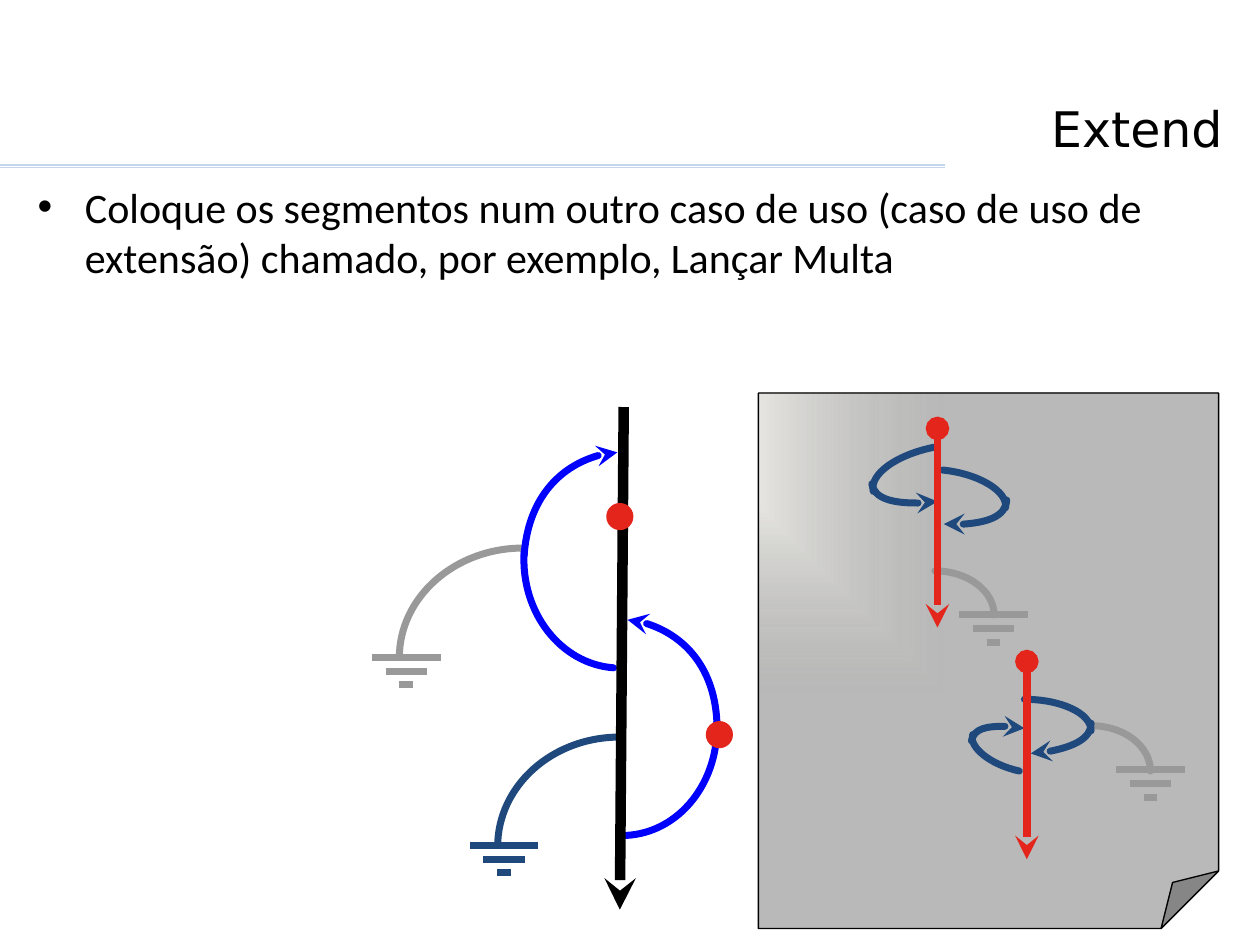
from dataclasses import dataclass

from lxml import etree
from pptx import Presentation
from pptx.dml.color import RGBColor
from pptx.enum.shapes import MSO_CONNECTOR, MSO_SHAPE
from pptx.enum.text import MSO_ANCHOR, PP_ALIGN
from pptx.oxml import parse_xml
from pptx.oxml.ns import nsdecls, qn
from pptx.util import Pt

STRAIGHT = MSO_CONNECTOR.STRAIGHT
OVAL, PAGE = MSO_SHAPE.OVAL, MSO_SHAPE.FOLDED_CORNER
RIGHT, BOTTOM = PP_ALIGN.RIGHT, MSO_ANCHOR.BOTTOM
BLACK, RULE, BLUE, NAVY, GREY, RED = (
    "000000", "C4D6EB", "0000FF", "1F497D", "999999", "E4251C")


@dataclass
class Arc:
    points: tuple  # start, two control points, end
    color: str
    tail: str = ""
    cap: str = "rnd"


@dataclass
class Line:
    start: tuple
    end: tuple
    color: str
    width: float
    head: str = ""
    tail: str = ""


@dataclass
class Ground:
    x: float
    y: float
    color: str


def rgb(value: str) -> RGBColor:
    return RGBColor.from_string(value)


def style_line(sp, color: str, width: float, head="", tail="", cap="") -> None:
    sp.line.color.rgb = rgb(color)
    sp.line.width = Pt(width)
    ln = sp.line._get_or_add_ln()
    if cap:
        ln.set("cap", cap)
    for tag, kind in (("a:headEnd", head), ("a:tailEnd", tail)):
        if kind:
            etree.SubElement(ln, qn(tag), type=kind)


def draw_line(s, line: Line) -> None:
    sp = s.shapes.add_connector(
        STRAIGHT, *(Pt(v) for v in line.start + line.end))
    style_line(sp, line.color, line.width, line.head, line.tail)
    etree.SubElement(sp._element.spPr, qn("a:effectLst"))


def draw_arc(s, arc: Arc) -> None:
    points = [(Pt(x), Pt(y)) for x, y in arc.points]
    builder = s.shapes.build_freeform(*points[0])
    builder.add_line_segments(points[1:], close=False)
    sp = builder.convert_to_shape()
    # Turn the three straight segments into one cubic curve
    path = sp._element.find(".//" + qn("a:path"))
    segments = path.findall(qn("a:lnTo"))
    curve = etree.SubElement(path, qn("a:cubicBezTo"))
    for segment in segments:
        curve.append(segment[0])
        path.remove(segment)
    sp.fill.background()
    sp.shadow.inherit = False
    style_line(sp, arc.color, 4, tail=arc.tail, cap=arc.cap)


def draw_ground(s, ground: Ground) -> None:
    for i, width in enumerate((39.2, 23.6, 7.8)):
        y = ground.y + 7.8 * i
        draw_line(s, Line((ground.x - width / 2, y),
                          (ground.x + width / 2, y), ground.color, 4))


def draw_dot(s, x: float, y: float, size: float = 11.5) -> None:
    sp = s.shapes.add_shape(
        OVAL, Pt(x - size / 2), Pt(y - size / 2), Pt(size), Pt(size))
    sp.fill.solid()
    sp.fill.fore_color.rgb = rgb(RED)
    sp.shadow.inherit = False
    style_line(sp, RED, 4)


def draw_page(s) -> None:
    sp = s.shapes.add_shape(PAGE, Pt(433.4), Pt(224.6), Pt(263), Pt(306))
    sp.shadow.inherit = False
    sp.fill.background()
    spPr = sp._element.spPr
    # Fold size
    guides = spPr.find(".//" + qn("a:avLst"))
    for guide in list(guides):
        guides.remove(guide)
    etree.SubElement(guides, qn("a:gd"), name="adj", fmla="val 12500")
    # Translucent gradient from the top left corner
    spPr.replace(spPr.find(qn("a:noFill")), parse_xml(
        f'<a:gradFill {nsdecls("a")} rotWithShape="1"><a:gsLst>'
        '<a:gs pos="0"><a:srgbClr val="EEECE1"><a:alpha val="48000"/></a:srgbClr></a:gs>'
        '<a:gs pos="100000"><a:srgbClr val="000000"><a:alpha val="27000"/></a:srgbClr></a:gs>'
        '</a:gsLst><a:path path="rect"><a:fillToRect r="100000" b="100000"/></a:path>'
        '</a:gradFill>'))
    style_line(sp, BLACK, 0.75)


def add_text(s, box: tuple, text: str, font: str, size: float):
    tf = s.shapes.add_textbox(*(Pt(v) for v in box)).text_frame
    tf.word_wrap = True
    p = tf.paragraphs[0]
    p.text = text
    r = p.runs[0]
    r.font.name, r.font.size = font, Pt(size)
    r.font.color.rgb = rgb(BLACK)
    return tf


# Main flow with its loops, back to front
MAIN_FLOW = [
    Arc(((357.8, 477.4), (388.1, 475.9), (411.1, 447.1), (409.7, 412.6)), BLUE),
    Arc(((409.7, 414.7), (409, 383), (386.6, 356.4), (358.6, 354.2)), BLUE, "stealth"),
    Arc(((228.2, 375.8), (228.2, 341.3), (259.9, 313.2), (298.8, 313.2)), GREY, cap="flat"),
    Ground(232.2, 375.8, GREY),
    Arc(((350.6, 381.6), (320.4, 379.4), (297.4, 349.9), (299.5, 315.4)), BLUE),
    Arc(((299.5, 317.5), (301.7, 285.8), (324.7, 259.9), (352.8, 258.5)), BLUE, "stealth"),
    Arc(((284.4, 483.8), (284.4, 449.3), (315.4, 421.2), (354.2, 421.2)), NAVY, cap="flat"),
    Ground(288, 483.1, NAVY),
    Line((356.4, 232.6), (354.2, 519.8), BLACK, 6, tail="stealth"),
]
# Two extension segments on the page
EXTENSIONS = [
    Arc(((533.5, 255.6), (512.6, 259.9), (496.8, 270.7), (499, 280.8)), NAVY),
    Arc(((498.2, 276.5), (499.7, 285.1), (516.2, 289.4), (535.7, 286.6)), NAVY, "stealth"),
    Arc(((538.6, 268.6), (559.4, 270.7), (576, 280.8), (574.6, 290.2)), NAVY),
    Arc(((575.3, 285.8), (574.6, 295.2), (558.7, 301), (539.3, 299.5)), NAVY, "stealth"),
    Arc(((534.2, 326.2), (553, 326.2), (568.1, 337.7), (568.1, 351.4)), GREY),
    Ground(567.7, 351.4, GREY),
    Line((535.7, 244.8), (535.7, 358.6), RED, 4.5, "oval", "stealth"),
    Arc(((623.5, 414.7), (642.2, 414.7), (657.4, 426.2), (657.4, 440.6)), GREY),
    Ground(657.4, 439.9, GREY),
    Arc(((585.4, 399.6), (606.2, 399.6), (623.5, 407.5), (623.5, 417.6)), NAVY),
    Arc(((623.5, 413.3), (623.5, 421.9), (608.4, 429.8), (589, 430.6)), NAVY, "stealth"),
    Arc(((582.5, 440.6), (565.9, 437), (553.7, 427), (555.8, 419.8)), NAVY),
    Arc(((555.1, 423.4), (556.6, 416.2), (569.5, 413.3), (585.4, 416.2)), NAVY, "stealth"),
    Line((586.8, 378), (586.8, 491), RED, 4.5, "oval", "stealth"),
]
DRAW = {Arc: draw_arc, Ground: draw_ground, Line: draw_line}


def main() -> None:
    prs = Presentation()
    prs.slide_width, prs.slide_height = Pt(720), Pt(540)
    s = prs.slides.add_slide(prs.slide_layouts[6])

    # Double rule and page
    for y in (95.8, 94.3):
        draw_line(s, Line((0, y), (540, y), RULE, 0.75))
    draw_page(s)

    # Title and bullet
    tf = add_text(s, (13, 20.2, 692.6, 73.4), "Extend", "DejaVu Sans", 28)
    tf.vertical_anchor = BOTTOM
    tf.paragraphs[0].alignment = RIGHT
    tf = add_text(s, (14.4, 100.1, 691.9, 424.8),
                  "Coloque os segmentos num outro caso de uso (caso de uso de "
                  "extensão) chamado, por exemplo, Lançar Multa", "Calibri", 24)
    pPr = tf.paragraphs[0]._p.get_or_add_pPr()
    pPr.set("marL", str(Pt(27)))
    pPr.set("indent", str(-Pt(27)))
    etree.SubElement(pPr, qn("a:buFont"), typeface="Arial")
    etree.SubElement(pPr, qn("a:buChar"), char="•")

    # Flow diagram and extension points
    for item in MAIN_FLOW + EXTENSIONS:
        DRAW[type(item)](s, item)
    for x, y in ((354.2, 295.2), (411.1, 419.8)):
        draw_dot(s, x, y)

    prs.save("out.pptx")


if __name__ == "__main__":
    main()
